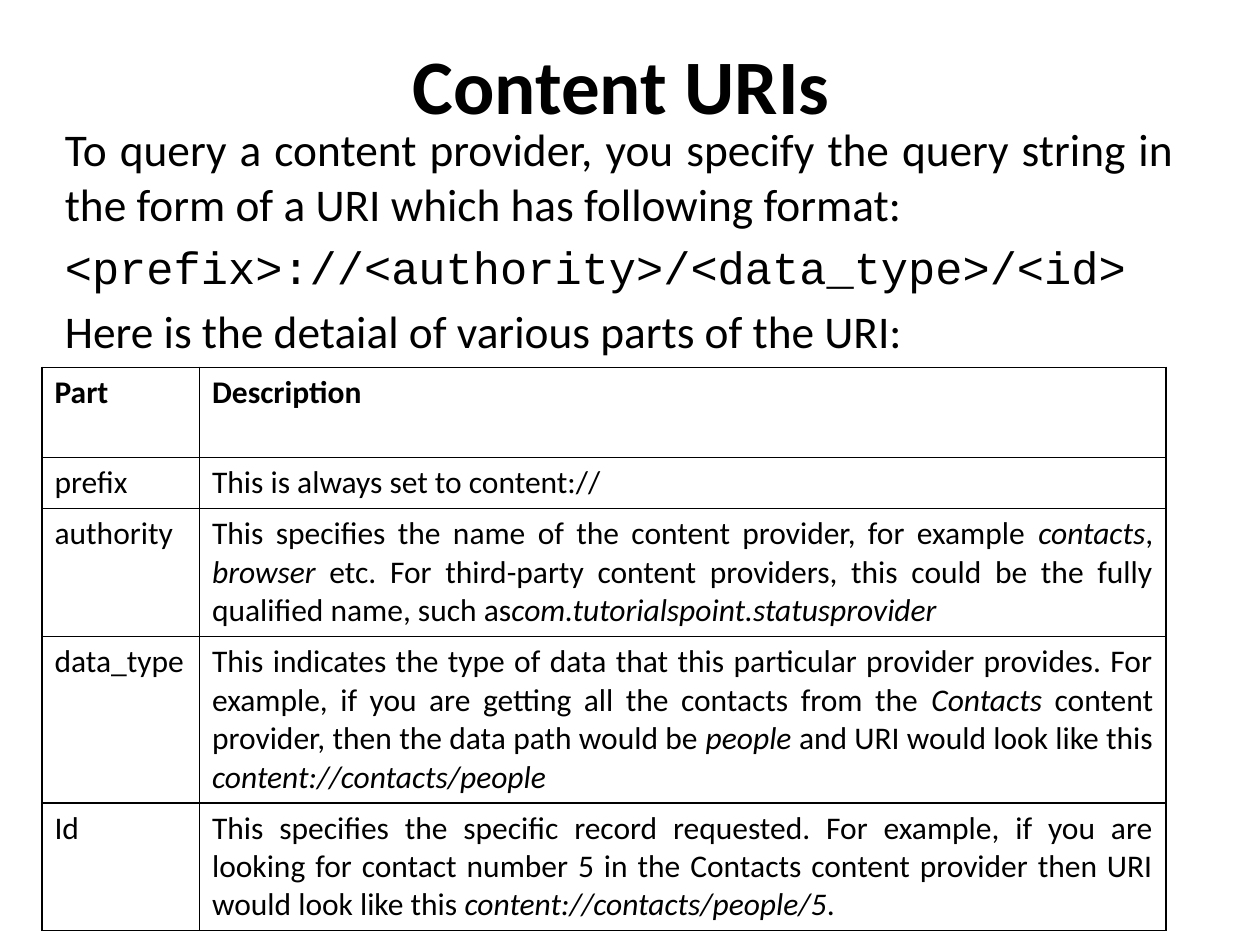
from lxml.etree import SubElement
from pptx import Presentation
from pptx.dml.color import RGBColor
from pptx.enum.text import MSO_ANCHOR, PP_ALIGN
from pptx.oxml.ns import qn
from pptx.util import Pt

COLORS = {"text": "000000", "border": "000000"}
BODY_FONT, CODE_FONT = "Calibri", "Courier New"

TITLE = "Content URIs "
INTRO = [
    ("To query a content provider, you specify the query string in the form of "
     "a URI which has following format:", BODY_FONT, PP_ALIGN.JUSTIFY),
    ("<prefix>://<authority>/<data_type>/<id>", CODE_FONT, PP_ALIGN.LEFT),
    ("Here is the detaial of various parts of the URI:", BODY_FONT, PP_ALIGN.LEFT),
]
# Each row: height, part, description pieces; every second piece is italic.
ROWS = [
    (51.5, "Part", ["Description"]),
    (29.2, "prefix", ["This is always set to content://"]),
    (73.1, "authority", [
        "This specifies the name of the content provider, for example ",
        "contacts", ", ", "browser ",
        "etc. For third-party content providers, this could be the fully "
        "qualified name, such as",
        "com.tutorialspoint.statusprovider"]),
    (95, "data_type", [
        "This indicates the type of data that this particular provider provides. "
        "For example, if you are getting all the contacts from the ",
        "Contacts ", "content provider, then the data path would be ",
        "people ", "and URI would look like this ",
        "content://contacts/people"]),
    (73.1, "Id", [
        "This specifies the specific record requested. For example, if you are "
        "looking for contact number 5 in the Contacts content provider then URI "
        "would look like this ",
        "content://contacts/people/5", "."]),
]
COLUMN_WIDTHS = [90, 552.2]


def set_font(paragraph, size, name=BODY_FONT, bold=False):
    font = paragraph.font
    font.size, font.name, font.bold = Pt(size), name, bold
    font.color.rgb = RGBColor.from_string(COLORS["text"])


def add_borders(cell):
    properties = cell._tc.get_or_add_tcPr()
    for side in ("a:lnL", "a:lnR", "a:lnT", "a:lnB"):
        line = SubElement(properties, qn(side), w=str(Pt(1)))
        fill = SubElement(line, qn("a:solidFill"))
        SubElement(fill, qn("a:srgbClr"), val=COLORS["border"])


def fill_cell(cell, pieces, alignment, bold):
    paragraph = cell.text_frame.paragraphs[0]
    paragraph.alignment = alignment
    set_font(paragraph, 18, bold=bold)
    for index, piece in enumerate(pieces):
        span = paragraph.add_run()
        span.text = piece
        if index % 2:
            span.font.italic = True
    add_borders(cell)
    cell.fill.background()


def add_title(page):
    title = page.shapes.title
    title.left, title.top, title.width, title.height = Pt(36), Pt(3), Pt(648), Pt(90)
    title.text_frame.text = TITLE
    title.text_frame.vertical_anchor = MSO_ANCHOR.MIDDLE
    paragraph = title.text_frame.paragraphs[0]
    paragraph.alignment = PP_ALIGN.CENTER
    set_font(paragraph, 44, bold=True)


def add_intro(page):
    box = page.shapes.add_textbox(Pt(30), Pt(66), Pt(648), Pt(150))
    frame = box.text_frame
    frame.word_wrap = True
    for index, (text, font_name, alignment) in enumerate(INTRO):
        paragraph = frame.add_paragraph() if index else frame.paragraphs[0]
        paragraph.text = text
        paragraph.alignment = alignment
        paragraph.space_before = Pt(5.2 if index else 0)
        set_font(paragraph, 25.9, font_name)


def add_parts_table(page):
    height = sum(row[0] for row in ROWS)
    table = page.shapes.add_table(
        len(ROWS), len(COLUMN_WIDTHS), Pt(24), Pt(210),
        Pt(sum(COLUMN_WIDTHS)), Pt(height)).table
    table.horz_banding = False
    for column, width in zip(table.columns, COLUMN_WIDTHS):
        column.width = Pt(width)
    for index, (row_height, part, description) in enumerate(ROWS):
        table.rows[index].height = Pt(row_height)
        is_header = index == 0
        fill_cell(table.cell(index, 0), [part], PP_ALIGN.LEFT, is_header)
        fill_cell(table.cell(index, 1), description, PP_ALIGN.JUSTIFY, is_header)


def main():
    deck = Presentation()
    deck.slide_width, deck.slide_height = Pt(720), Pt(540)
    page = deck.slides.add_slide(deck.slide_layouts.get_by_name("Title Only"))
    add_title(page)
    add_intro(page)
    add_parts_table(page)
    deck.save("out.pptx")


if __name__ == "__main__":
    main()
